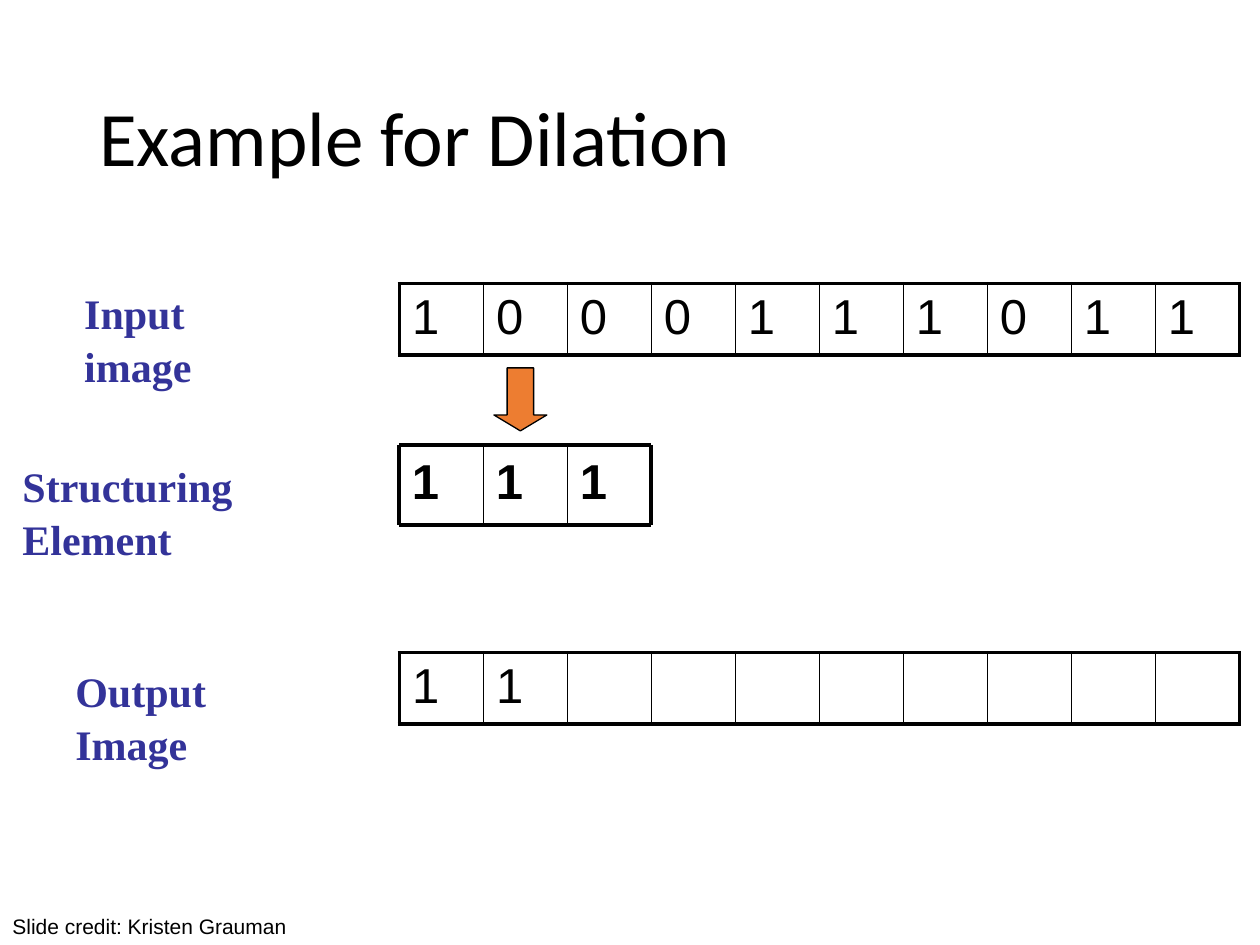
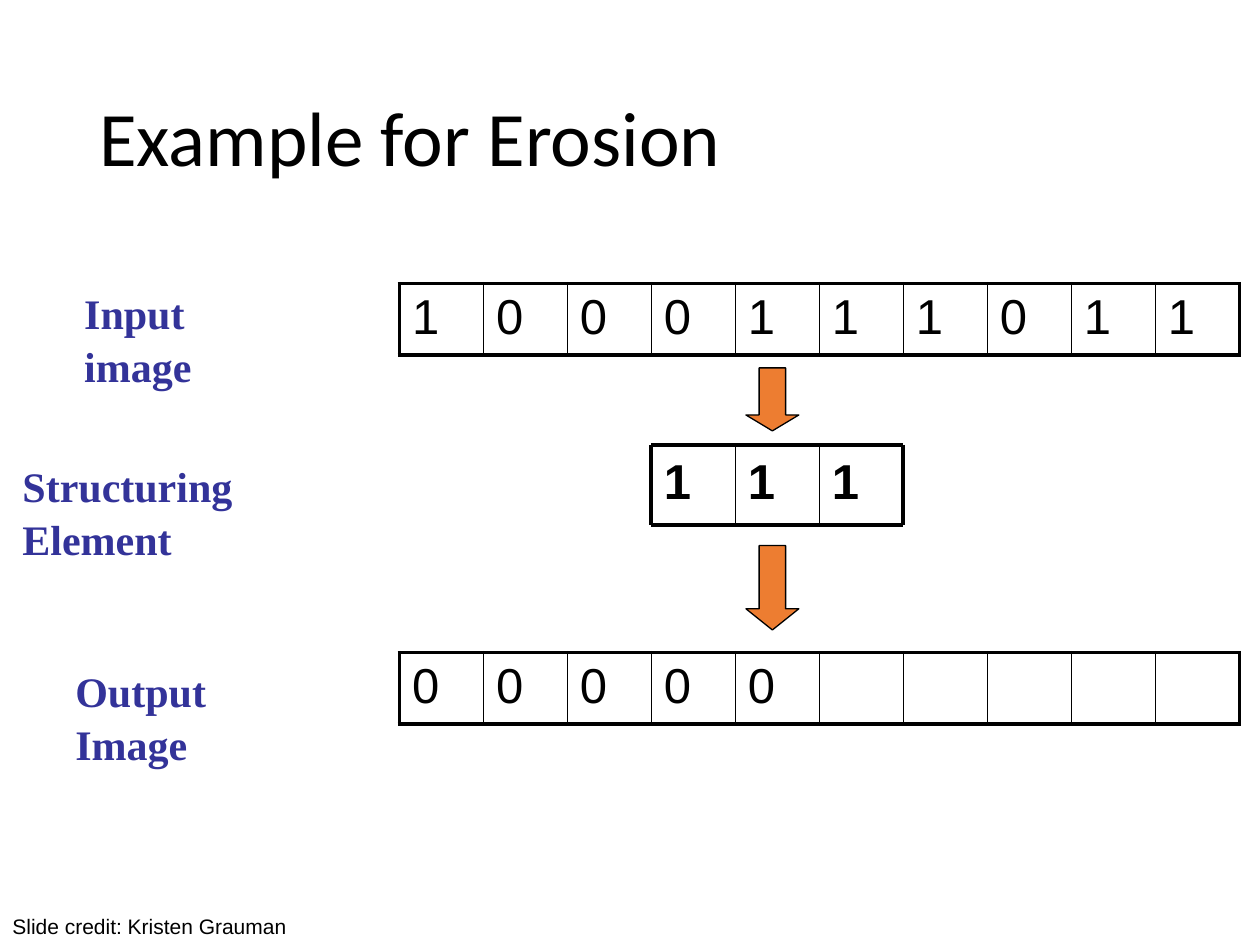
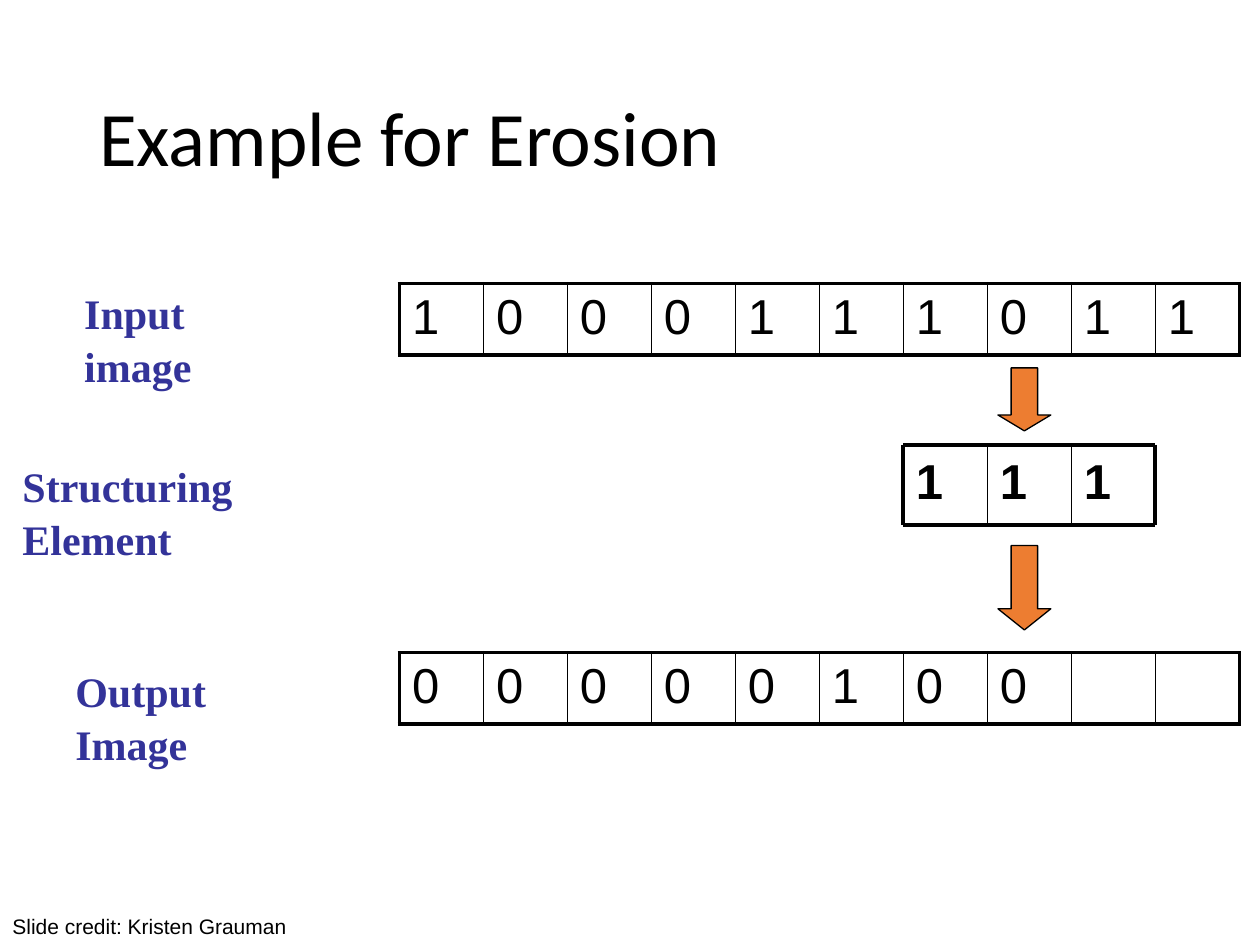
from pptx import Presentation
from pptx import util as u
from pptx.dml.color import RGBColor
from pptx.enum import shapes, text
from pptx.oxml.ns import qn
from lxml import etree

BLACK = RGBColor(0x00, 0x00, 0x00)
LABEL_BLUE = RGBColor(0x33, 0x33, 0x99)
ARROW_ORANGE = RGBColor(0xED, 0x7D, 0x31)

CELL = 2 / 3
GRID_LEFT = 3.17
THICK, THIN = 2.25, 1
ELEMENT_TOP, ELEMENT_HEIGHT = 3.53, 0.64
PIXELS = 10
INPUT_BITS = "1000111011"
LABELS = [
    ("Input image", 0.57, 2.21, 1.8),
    ("Structuring Element", 0.08, 3.58, 2.89),
    ("Output Image", 0.5, 5.21, 2.04),
]
EXAMPLES = [
    ("Example for Dilation", 0, "11", False),
    ("Example for Erosion", 3, "00000", True),
    ("Example for Erosion", 6, "00000100", True),
]


def style(paragraph, size, font, color=BLACK, bold=False):
    for run in paragraph.runs:
        run.font.size = u.Pt(size)
        run.font.name = font
        run.font.color.rgb = color
        run.font.bold = bold


def add_text(slide, words, left, top, width, height, size, font, color=BLACK,
             bold=False, spacing=None, anchor=text.MSO_ANCHOR.TOP):
    box = slide.shapes.add_textbox(*map(u.Inches, (left, top, width, height)))
    frame = box.text_frame
    frame.word_wrap = True
    frame.vertical_anchor = anchor
    frame.text = words
    paragraph = frame.paragraphs[0]
    if spacing:
        paragraph.line_spacing = spacing
    style(paragraph, size, font, color, bold)


def set_border(cell, side, width):
    line = etree.SubElement(cell._tc.get_or_add_tcPr(), qn(f"a:ln{side}"), w=str(u.Pt(width)))
    fill = etree.SubElement(line, qn("a:solidFill"))
    etree.SubElement(fill, qn("a:srgbClr"), val=str(BLACK))


def add_pixel_row(slide, bits, left, top, height=0.56):
    frame = slide.shapes.add_table(1, PIXELS, u.Inches(left), u.Inches(top),
                                   u.Inches(PIXELS * CELL), u.Inches(height))
    pixels = frame.table
    pixels.first_row = pixels.horz_banding = False
    for index in range(PIXELS):
        pixels.columns[index].width = u.Inches(CELL)
        cell = pixels.cell(0, index)
        cell.text = bits[index:index + 1]
        style(cell.text_frame.paragraphs[0], 28, "Arial")
        set_border(cell, "L", THICK if index == 0 else THIN)
        set_border(cell, "R", THICK if index == PIXELS - 1 else THIN)
        set_border(cell, "T", THICK)
        set_border(cell, "B", THICK)
        cell.fill.background()


def add_line(slide, x1, y1, x2, y2, width):
    line = slide.shapes.add_connector(shapes.MSO_CONNECTOR.STRAIGHT,
                                      *map(u.Inches, (x1, y1, x2, y2)))
    line.line.color.rgb = BLACK
    line.line.width = u.Pt(width)
    etree.SubElement(line._element.spPr, qn("a:effectLst"))


def add_structuring_element(slide, left, top, height, bits="111"):
    right, bottom = left + len(bits) * CELL, top + height
    for index, bit in enumerate(bits):
        add_text(slide, bit, left + index * CELL, top, CELL, height, 28, "Arial", bold=True)
    for y in (top, bottom):
        add_line(slide, left, y, right, y, THICK)
    for index in range(len(bits) + 1):
        x = left + index * CELL
        add_line(slide, x, top, x, bottom, THICK if index in (0, len(bits)) else THIN)


def add_arrow(slide, left, top, height, head):
    arrow = slide.shapes.add_shape(shapes.MSO_SHAPE.DOWN_ARROW,
                                   *map(u.Inches, (left, top, 0.42, height)))
    arrow.adjustments[0] = 0.5
    arrow.adjustments[1] = head
    arrow.shadow.inherit = False
    arrow.fill.solid()
    arrow.fill.fore_color.rgb = ARROW_ORANGE
    arrow.line.color.rgb = BLACK
    arrow.line.width = u.Pt(0.75)


def add_example(deck, title, offset, output_bits, arrow_to_output):
    slide = deck.slides.add_slide(deck.slide_layouts[6])
    add_text(slide, title, 0.69, 0.4, 8.62, 1.45, 44, "Calibri",
             spacing=0.9, anchor=text.MSO_ANCHOR.MIDDLE)
    add_pixel_row(slide, INPUT_BITS, GRID_LEFT, 2.25)
    add_pixel_row(slide, output_bits, GRID_LEFT, 5.18)
    for words, left, top, width in LABELS:
        add_text(slide, words, left, top, width, 0.5, 24, "Times New Roman",
                 LABEL_BLUE, bold=True, spacing=1.06)
    element_left = GRID_LEFT + offset * CELL
    add_structuring_element(slide, element_left, ELEMENT_TOP, ELEMENT_HEIGHT)
    arrow_left = element_left + 0.75
    if arrow_to_output:
        add_arrow(slide, arrow_left, 4.33, 0.67, 0.4)
    add_arrow(slide, arrow_left, 2.92, 0.5, 0.3)
    add_text(slide, "Slide credit: Kristen Grauman", 0, 7.2, 4.58, 0.3, 12, "Arial")


def main():
    deck = Presentation()
    deck.slide_width, deck.slide_height = u.Inches(10), u.Inches(7.5)
    for example in EXAMPLES:
        add_example(deck, *example)
    deck.save("out.pptx")


if __name__ == "__main__":
    main()
